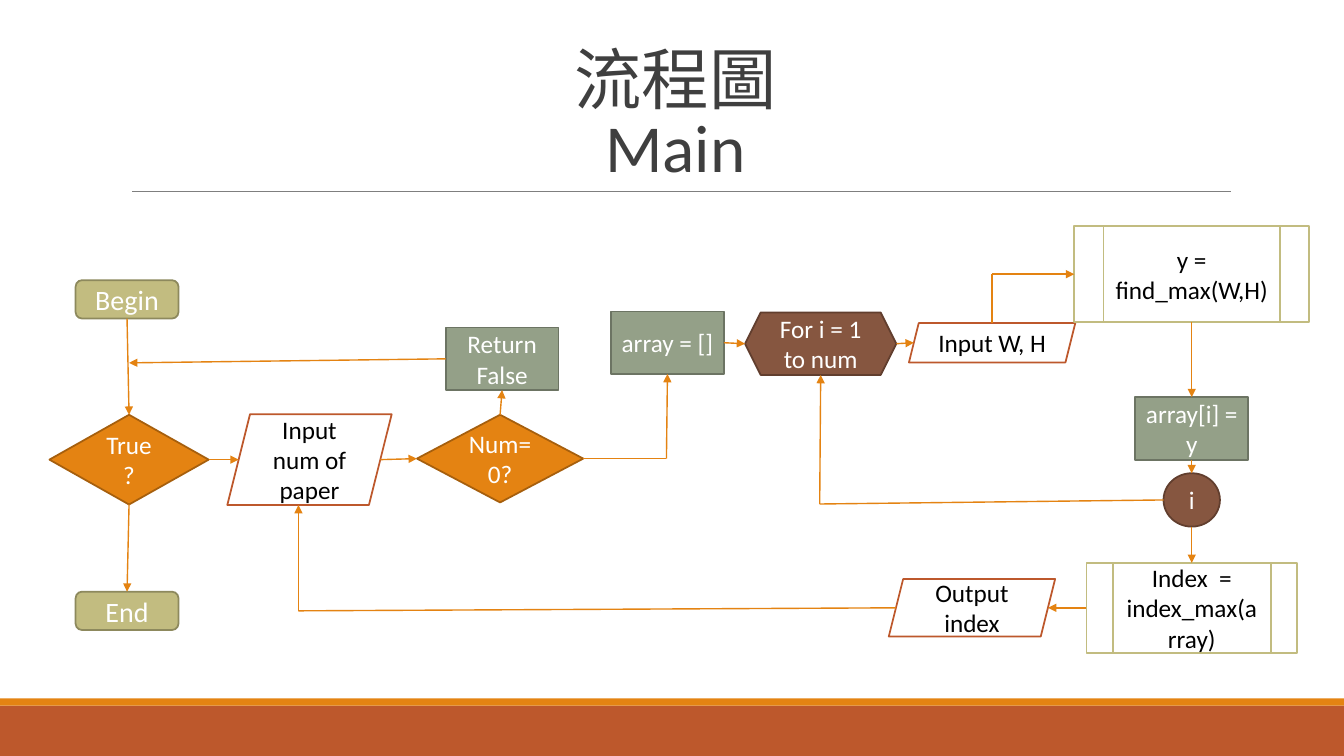
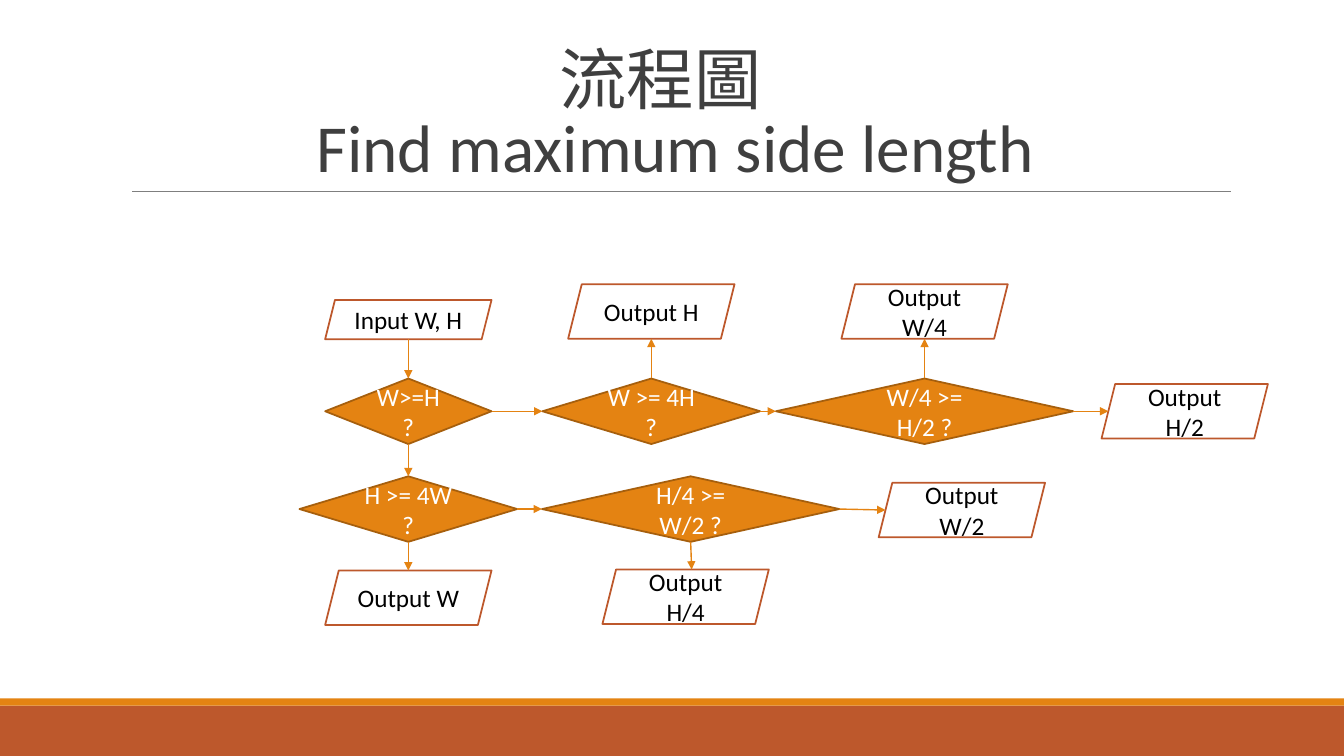
import pptx
import pptx.dml.color
import pptx.enum.shapes
import pptx.enum.text
import pptx.oxml.ns
import pptx.util
from lxml import etree

Inches = pptx.util.Inches
SHAPES = pptx.enum.shapes.MSO_SHAPE

FONT = "Calibri"
COLORS = {
    "rust": "BD582C", "orange": "E48312", "orange_edge": "A65F0D",
    "khaki": "C2BC80", "khaki_edge": "8D895D", "sage": "94A088",
    "sage_edge": "6C7463", "brown": "865640", "brown_edge": "613E2E",
    "rule": "7F7F7F", "title": "3F3F3F", "white": "FFFFFF", "black": "000000",
}

# kind: preset shape, fill, line, text colour, text size
KINDS = {
    "terminal": (SHAPES.ROUNDED_RECTANGLE, "khaki", "khaki_edge", "white", 20),
    "decision": (SHAPES.DIAMOND, "orange", "orange_edge", "white", 18),
    "data": (SHAPES.PARALLELOGRAM, "white", "rust", "black", 18),
    "process": (SHAPES.RECTANGLE, "sage", "sage_edge", "white", 18),
    "loop": (SHAPES.HEXAGON, "brown", "brown_edge", "white", 18),
    "joint": (SHAPES.OVAL, "brown", "brown_edge", "white", 18),
    "call": (SHAPES.FLOWCHART_PREDEFINED_PROCESS, "white", "khaki", "black", 18),
}

SLIDE = (13.33, 7.5)
TITLE_BOX = (1.2, 0.31, 11, 1.59)
CHART_BOX = (0, 2, 13.33, 4.93)
FOOTER_BOX = (0, 6.93, 13.33, 0.57)

# name: kind, text, centre x, centre y, width, height
MAIN_NODES = {
    "begin": ("terminal", "Begin", 1.26, 0.97, 1.02, 0.38),
    "true": ("decision", "True ?", 1.28, 2.56, 1.58, 0.89),
    "end": ("terminal", "End", 1.26, 4.06, 1.02, 0.38),
    "papers": ("data", "Input num of paper", 3.07, 2.56, 1.63, 0.9),
    "zero": ("decision", "Num=0?", 4.96, 2.55, 1.65, 0.87),
    "false": ("process", "Return False", 4.98, 1.56, 1.12, 0.62),
    "array": ("process", "array = []", 6.62, 1.4, 1.12, 0.62),
    "for": ("loop", "For i = 1 to num", 8.14, 1.41, 1.5, 0.62),
    "sides": ("data", "Input W, H", 9.84, 1.4, 1.65, 0.39),
    "find": ("call", "y = find_max(W,H)", 11.82, 0.72, 2.33, 0.95),
    "store": ("process", "array[i] = y", 11.82, 2.25, 1.12, 0.62),
    "next": ("joint", "i", 11.82, 2.96, 0.56, 0.53),
    "index": ("call", "Index  = index_max(array)", 11.82, 4.03, 2.09, 0.89),
    "result": ("data", "Output index", 9.64, 4.03, 1.65, 0.57),
}
MAIN_LINKS = [
    ("begin bottom", "true top"),
    ("true bottom", "end top"),
    ("true right", "papers left"),
    ("papers right", "zero left"),
    ("zero top", "false bottom"),
    ("false left", (1.28, 1.6)),
    ("zero right", (6.61, 2.55), "array bottom"),
    ("array right", "for left"),
    ("for right", "sides left"),
    ("sides top", (9.84, 0.72), "find left"),
    ("find bottom", "store top"),
    ("store bottom", "next top"),
    ("next left", (8.13, 3), "for bottom"),
    ("next bottom", "index top"),
    ("index left", "result right"),
    ("result left", (2.96, 4.06), (2.96, 3.01)),
]

SIDE_NODES = {
    "sides": ("data", "Input W, H", 4.05, 1.17, 1.65, 0.39),
    "wide": ("decision", "W>=H?", 4.05, 2.08, 1.65, 0.65),
    "wide4": ("decision", "W >= 4H ?", 6.46, 2.08, 2.16, 0.65),
    "wide2": ("decision", "W/4 >= H/2 ?", 9.17, 2.08, 2.95, 0.65),
    "tall4": ("decision", "H >= 4W ?", 4.05, 3.05, 2.16, 0.65),
    "tall2": ("decision", "H/4 >= W/2 ?", 6.85, 3.05, 2.95, 0.65),
    "height": ("data", "Output H", 6.46, 1.09, 1.65, 0.54),
    "width/4": ("data", "Output W/4", 9.17, 1.09, 1.65, 0.54),
    "height/2": ("data", "Output H/2", 11.75, 2.08, 1.65, 0.54),
    "width": ("data", "Output W", 4.05, 3.93, 1.65, 0.54),
    "height/4": ("data", "Output H/4", 6.8, 3.92, 1.65, 0.54),
    "width/2": ("data", "Output W/2", 9.54, 3.06, 1.65, 0.54),
}
SIDE_LINKS = [
    ("sides bottom", "wide top"),
    ("wide right", "wide4 left"),
    ("wide4 right", "wide2 left"),
    ("wide2 right", "height/2 left"),
    ("wide4 top", "height bottom"),
    ("wide2 top", "width/4 bottom"),
    ("wide bottom", "tall4 top"),
    ("tall4 right", "tall2 left"),
    ("tall2 right", "width/2 left"),
    ("tall4 bottom", "width top"),
    ("tall2 bottom", (6.86, 3.65)),
]


def color(name):
    """Return the named colour."""
    return pptx.dml.color.RGBColor.from_string(COLORS[name])


def add_box(page, preset, box, fill, edge=None):
    """Add a flat preset shape, with an outline if an edge colour is given."""
    shape = page.shapes.add_shape(preset, *map(Inches, box))
    shape.shadow.inherit = False
    shape.fill.solid()
    shape.fill.fore_color.rgb = color(fill)
    if edge:
        shape.line.color.rgb = color(edge)
        shape.line.width = pptx.util.Pt(1.25)
    else:
        shape.line.fill.background()
    return shape


def add_line(page, start, stop, stroke, width, arrow=False):
    """Add a straight line, with a triangle at its end if asked."""
    line = page.shapes.add_connector(
        pptx.enum.shapes.MSO_CONNECTOR.STRAIGHT, *map(Inches, (*start, *stop)))
    line.line.color.rgb = color(stroke)
    line.line.width = pptx.util.Pt(width)
    if arrow:
        tail = etree.SubElement(line.line._get_or_add_ln(), pptx.oxml.ns.qn("a:tailEnd"))
        tail.set("type", "triangle")
    etree.SubElement(line._element.spPr, pptx.oxml.ns.qn("a:effectLst"))


def write(frame, text, size, shade):
    """Fill a text frame with one centred paragraph."""
    frame.word_wrap = True
    frame.text = text
    para = frame.paragraphs[0]
    para.alignment = pptx.enum.text.PP_ALIGN.CENTER
    for span in para.runs:
        span.font.name = FONT
        span.font.size = pptx.util.Pt(size)
        span.font.color.rgb = color(shade)
    return para


def add_title(page, box, text):
    """Place the title and the rule under it."""
    left, top, width, height = box
    frame = page.shapes.add_textbox(*map(Inches, box)).text_frame
    para = write(frame, text, 48, "title")
    para.line_spacing = 0.85
    frame.vertical_anchor = pptx.enum.text.MSO_ANCHOR.BOTTOM
    bottom = top + height
    add_line(page, (left + 0.11, bottom), (left + width + 0.01, bottom), "rule", 0.75)


def add_footer(page, box):
    """Place the rust band with its thin orange strip on top."""
    left, top, width, height = box
    strip = 0.07
    add_box(page, SHAPES.RECTANGLE, (left, top + strip, width, height - strip), "rust")
    add_box(page, SHAPES.RECTANGLE, (left, top, width, strip), "orange")


def find_port(nodes, place):
    """Return the point named by a node and side, or the point itself."""
    if not isinstance(place, str):
        return place
    name, side = place.split()
    kind, _, x, y, width, height = nodes[name]
    slant = height / 8 if kind == "data" else 0
    reach = width / 2 - slant
    return {
        "left": (x - reach, y), "right": (x + reach, y),
        "top": (x, y - height / 2), "bottom": (x, y + height / 2),
    }[side]


def add_flowchart(page, box, nodes, links):
    """Place the nodes and the arrows that join them inside the box."""
    left, top = box[:2]
    for kind, text, x, y, width, height in nodes.values():
        preset, fill, edge, shade, size = KINDS[kind]
        area = (left + x - width / 2, top + y - height / 2, width, height)
        shape = add_box(page, preset, area, fill, edge)
        write(shape.text_frame, text, size, shade)
        shape.text_frame.vertical_anchor = pptx.enum.text.MSO_ANCHOR.MIDDLE
    for link in links:
        ports = [find_port(nodes, place) for place in link]
        points = [(left + x, top + y) for x, y in ports]
        for step, (start, stop) in enumerate(zip(points, points[1:]), 2):
            add_line(page, start, stop, "orange", 1, arrow=step == len(points))


def add_page(deck, title, nodes, links):
    """Add a slide with a title, a flowchart and the footer bands."""
    page = deck.slides.add_slide(deck.slide_layouts[6])
    add_footer(page, FOOTER_BOX)
    add_title(page, TITLE_BOX, title)
    add_flowchart(page, CHART_BOX, nodes, links)


def main():
    """Build and save the deck."""
    deck = pptx.Presentation()
    deck.slide_width, deck.slide_height = map(Inches, SLIDE)
    add_page(deck, "流程圖\vMain", MAIN_NODES, MAIN_LINKS)
    add_page(deck, "流程圖  \vFind maximum side length", SIDE_NODES, SIDE_LINKS)
    deck.save("out.pptx")


if __name__ == "__main__":
    main()
